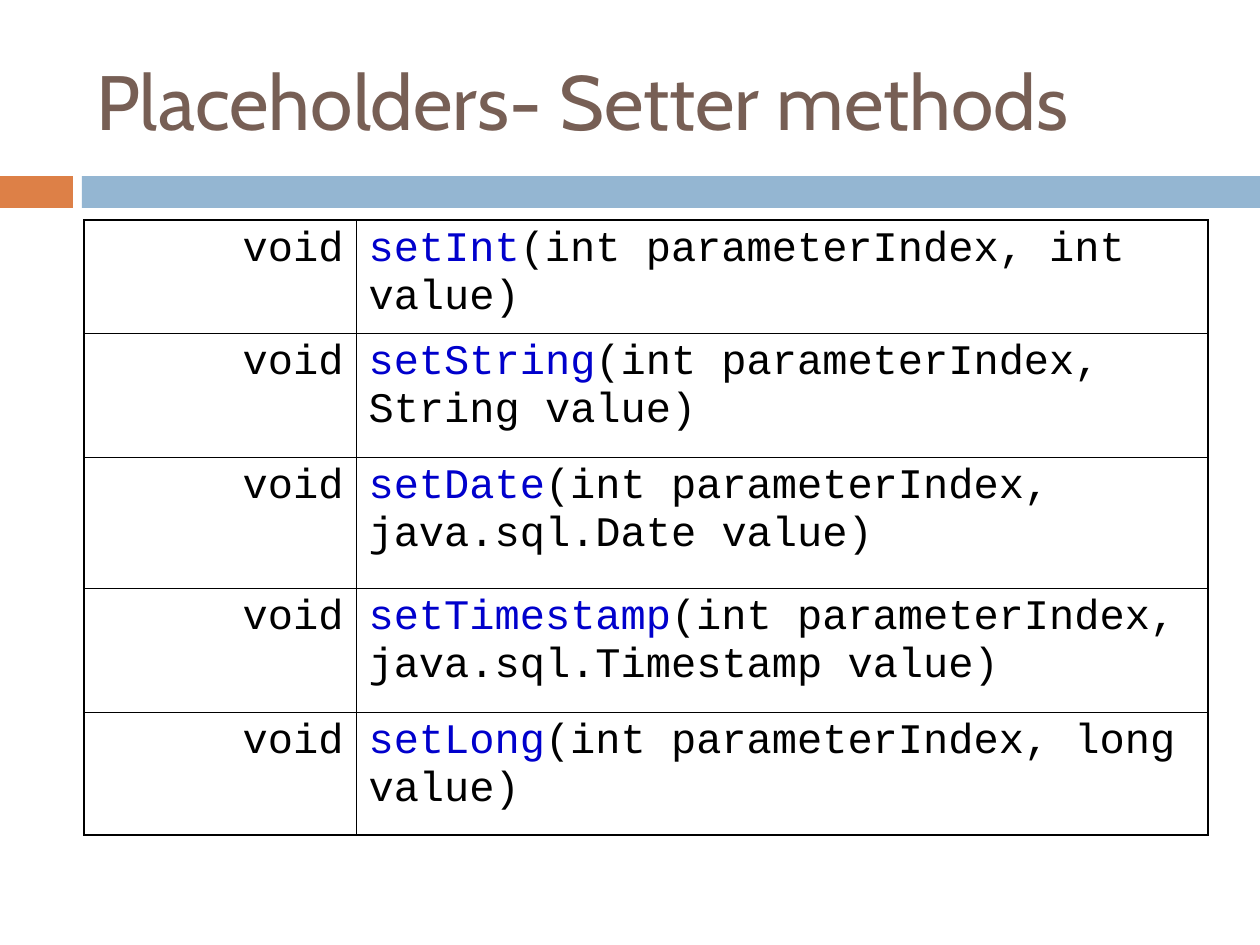
from pptx import Presentation
from pptx.dml.color import RGBColor
from pptx.enum.shapes import MSO_SHAPE
from pptx.enum.text import MSO_ANCHOR, PP_ALIGN
from pptx.oxml.ns import qn
from pptx.util import Pt
from lxml import etree

BROWN = RGBColor(0x77, 0x5F, 0x55)
ORANGE = RGBColor(0xDD, 0x80, 0x47)
BLUE = RGBColor(0x94, 0xB6, 0xD2)
METHOD_BLUE = RGBColor(0x00, 0x00, 0xCC)
BLACK = RGBColor(0x00, 0x00, 0x00)
RECTANGLE = MSO_SHAPE.RECTANGLE
MIDDLE = MSO_ANCHOR.MIDDLE
LEFT, RIGHT = PP_ALIGN.LEFT, PP_ALIGN.RIGHT
THIN, THICK = 0.45, 1.08

SETTERS = [
    ("setInt", "(int parameterIndex, int value)"),
    ("setString", "(int parameterIndex, String value)"),
    ("setDate", "(int parameterIndex, java.sql.Date value)"),
    ("setTimestamp", "(int parameterIndex, java.sql.Timestamp value)"),
    ("setLong", "(int parameterIndex, long value)"),
]
COLUMN_WIDTHS = [272, 852]
ROW_HEIGHTS = [113, 124, 131, 124, 123]
RULE_WIDTHS = [THICK, THIN, THIN, THICK, THICK, THICK]
SIDE_WIDTHS = [THICK, THIN, THICK]


def px(length):
    return round(length * 914400 / 126)


class SlideBuilder:
    """Holds the text style and the page that elements are added to."""

    def __init__(self, page, heading_font, code_font):
        self.page = page
        self.heading_font = heading_font
        self.code_font = code_font

    def add_span(self, para, text, font, size, color):
        span = para.add_run()
        span.text = text
        span.font.name = font
        span.font.size = Pt(size)
        span.font.color.rgb = color

    def add_bar(self, left, top, width, height, color):
        bar = self.page.shapes.add_shape(RECTANGLE, px(left), px(top), px(width), px(height))
        bar.shadow.inherit = False
        bar.fill.solid()
        bar.fill.fore_color.rgb = color
        bar.line.fill.background()

    def add_title(self, left, top, width, height, text):
        box = self.page.shapes.add_textbox(px(left), px(top), px(width), px(height))
        frame = box.text_frame
        frame.word_wrap = True
        frame.vertical_anchor = MIDDLE
        self.add_span(frame.paragraphs[0], text, self.heading_font, 44, BROWN)

    def add_borders(self, cell, widths):
        properties = cell._tc.get_or_add_tcPr()
        for tag, width in zip(("a:lnL", "a:lnR", "a:lnT", "a:lnB"), widths):
            line = etree.SubElement(properties, qn(tag), w=str(Pt(width)))
            fill = etree.SubElement(line, qn("a:solidFill"))
            etree.SubElement(fill, qn("a:srgbClr"), val=str(BLACK))

    def fill_cell(self, cell, spans, alignment, borders):
        self.add_borders(cell, borders)
        cell.fill.background()
        para = cell.text_frame.paragraphs[0]
        para.alignment = alignment
        para.space_before = Pt(6)
        for text, color in spans:
            self.add_span(para, text, self.code_font, 24, color)

    def add_method_table(self, left, top, setters):
        frame = self.page.shapes.add_table(
            len(setters), len(COLUMN_WIDTHS), px(left), px(top),
            px(sum(COLUMN_WIDTHS)), px(sum(ROW_HEIGHTS)))
        table = frame.table
        table.first_row = table.horz_banding = False
        for column, width in zip(table.columns, COLUMN_WIDTHS):
            column.width = px(width)
        for index, (name, signature) in enumerate(setters):
            table.rows[index].height = px(ROW_HEIGHTS[index])
            contents = [
                ([("void", BLACK)], RIGHT),
                ([(name, METHOD_BLUE), (signature, BLACK)], LEFT),
            ]
            for column, (spans, alignment) in enumerate(contents):
                borders = SIDE_WIDTHS[column:column + 2] + RULE_WIDTHS[index:index + 2]
                self.fill_cell(table.cell(index, column), spans, alignment, borders)


def main():
    deck = Presentation()
    deck.slide_width, deck.slide_height = px(1260), px(945)
    page = deck.slides.add_slide(deck.slide_layouts[6])
    builder = SlideBuilder(page, "Cabin", "Courier New")
    builder.add_bar(0, 176, 73, 32, ORANGE)
    builder.add_bar(82, 176, 1178, 32, BLUE)
    builder.add_title(84, 32, 1124, 136, "Placeholders- Setter methods")
    builder.add_method_table(84, 220, SETTERS)
    deck.save("out.pptx")


if __name__ == "__main__":
    main()
